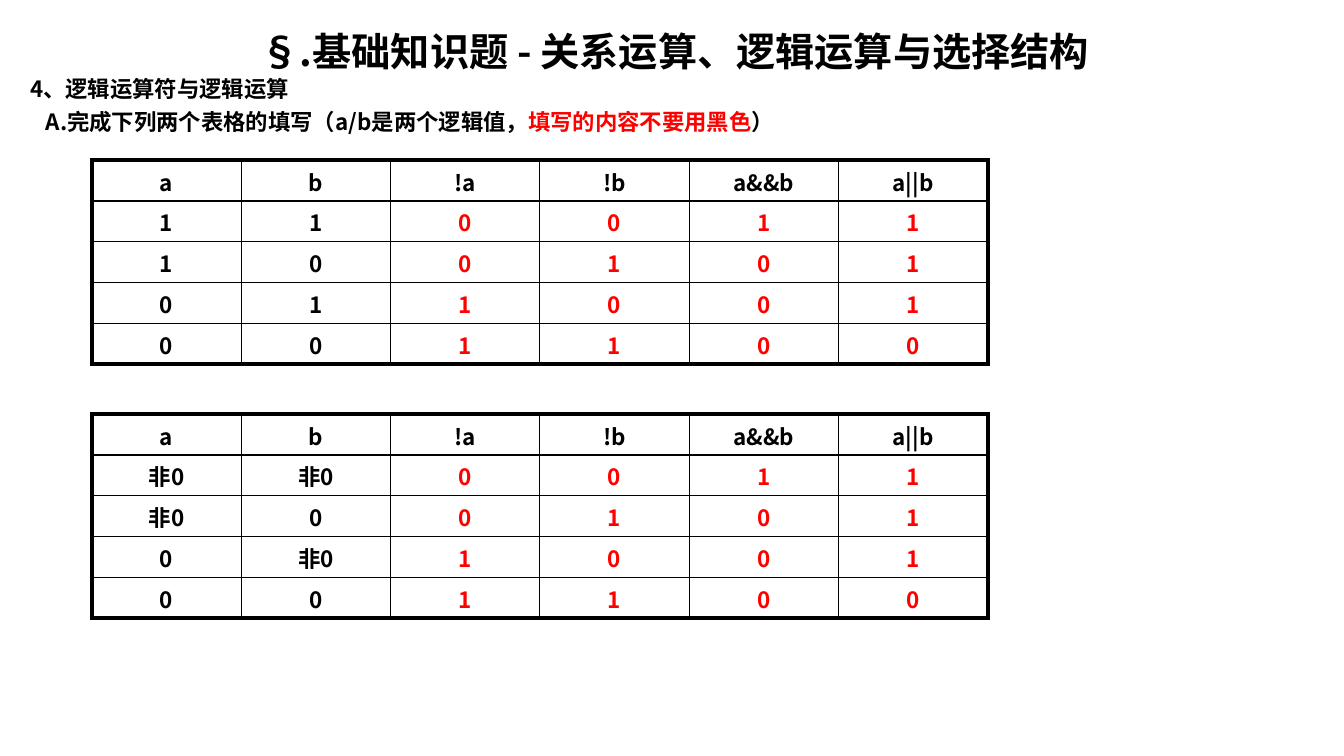
from itertools import product
from lxml.etree import SubElement
from pptx import Presentation
from pptx.dml.color import RGBColor
from pptx.enum.text import MSO_ANCHOR, PP_ALIGN
from pptx.oxml.ns import qn
from pptx.util import Inches, Pt

HUES = {"ink": "000000", "red": "FF0000", "paper": "FFFFFF"}
FACE = "Noto Sans CJK SC"
COLS, ROWS = 120, 100


class Page:
    def __init__(self, deck):
        self.wide = deck.slide_width / COLS
        self.high = deck.slide_height / ROWS
        self.slide = deck.slides.add_slide(deck.slide_layouts[6])

    def place(self, x, y, w, h):
        return (round(x * self.wide), round(y * self.high),
                round(w * self.wide), round(h * self.high))

    def hue(self, name):
        return RGBColor.from_string(HUES[name])

    def style(self, para, size=16, hue="ink", align=PP_ALIGN.LEFT):
        para.alignment = align
        font = para.font
        font.size, font.bold, font.name = Pt(size), True, FACE
        font.color.rgb = self.hue(hue)
        for props in para._p.iter(qn("a:defRPr")):
            SubElement(props, qn("a:ea")).set("typeface", FACE)

    def text(self, box, lines):
        frame = self.slide.shapes.add_textbox(*self.place(*box)).text_frame
        frame.word_wrap = True
        for i, (parts, size, align, pitch, gap, inset) in enumerate(lines):
            para = frame.add_paragraph() if i else frame.paragraphs[0]
            for words, hue in parts:
                run = para.add_run()
                run.text = words
                if hue != "ink":
                    run.font.color.rgb = self.hue(hue)
            self.style(para, size, align=align)
            para.line_spacing, para.space_before = Pt(pitch), Pt(gap)
            para._p.get_or_add_pPr().set("marL", str(round(inset * self.wide)))

    def edge(self, cell, side, width):
        line = SubElement(cell._tc.get_or_add_tcPr(), qn(f"a:ln{side}"), w=str(Pt(width)))
        fill = SubElement(line, qn("a:solidFill"))
        SubElement(fill, qn("a:srgbClr"), val=HUES["ink"])

    def table(self, box, data):
        tall, span = len(data), len(data[0])
        grid = self.slide.shapes.add_table(tall, span, *self.place(*box)).table
        grid.first_row = grid.horz_banding = False
        for r, c in product(range(tall), range(span)):
            cell = grid.cell(r, c)
            cell.text = data[r][c]
            cell.vertical_anchor = MSO_ANCHOR.MIDDLE
            hue = "red" if r > 0 and c > 1 else "ink"
            self.style(cell.text_frame.paragraphs[0], hue=hue, align=PP_ALIGN.CENTER)
            outer = {"L": c == 0, "R": c == span - 1, "T": r == 0, "B": r == tall - 1}
            for side, thick in outer.items():
                self.edge(cell, side, 3 if thick else 1)
            cell.fill.solid()
            cell.fill.fore_color.rgb = self.hue("paper")


def truth(yes):
    data = [["a", "b", "!a", "!b", "a&&b", "a||b"]]
    for a, b in product((1, 0), repeat=2):
        given = [yes if x else "0" for x in (a, b)]
        data.append(given + [str(x) for x in (1 - a, 1 - b, a & b, a | b)])
    return data


def main():
    deck = Presentation()
    deck.slide_width, deck.slide_height = Inches(13.33), Inches(7.5)
    page = Page(deck)
    task = [("A.完成下列两个表格的填写（a/b是两个逻辑值，", "ink"),
            ("填写的内容不要用黑色", "red"), ("）", "ink")]
    page.text((1.8, 2.4, 116.9, 94.5), [
        ([("§.基础知识题 - 关系运算、逻辑运算与选择结构", "ink")], 28, PP_ALIGN.CENTER, 36.6, 0, 0),
        ([("4、逻辑运算符与逻辑运算", "ink")], 16, PP_ALIGN.LEFT, 20, 0, 0),
        (task, 16, PP_ALIGN.LEFT, 20, 3, 1.4),
    ])
    for top, yes in ((21.2, "1"), (54.8, "非0")):
        page.table((8.2, top, 80, 27), truth(yes))
    deck.save("out.pptx")


if __name__ == "__main__":
    main()
